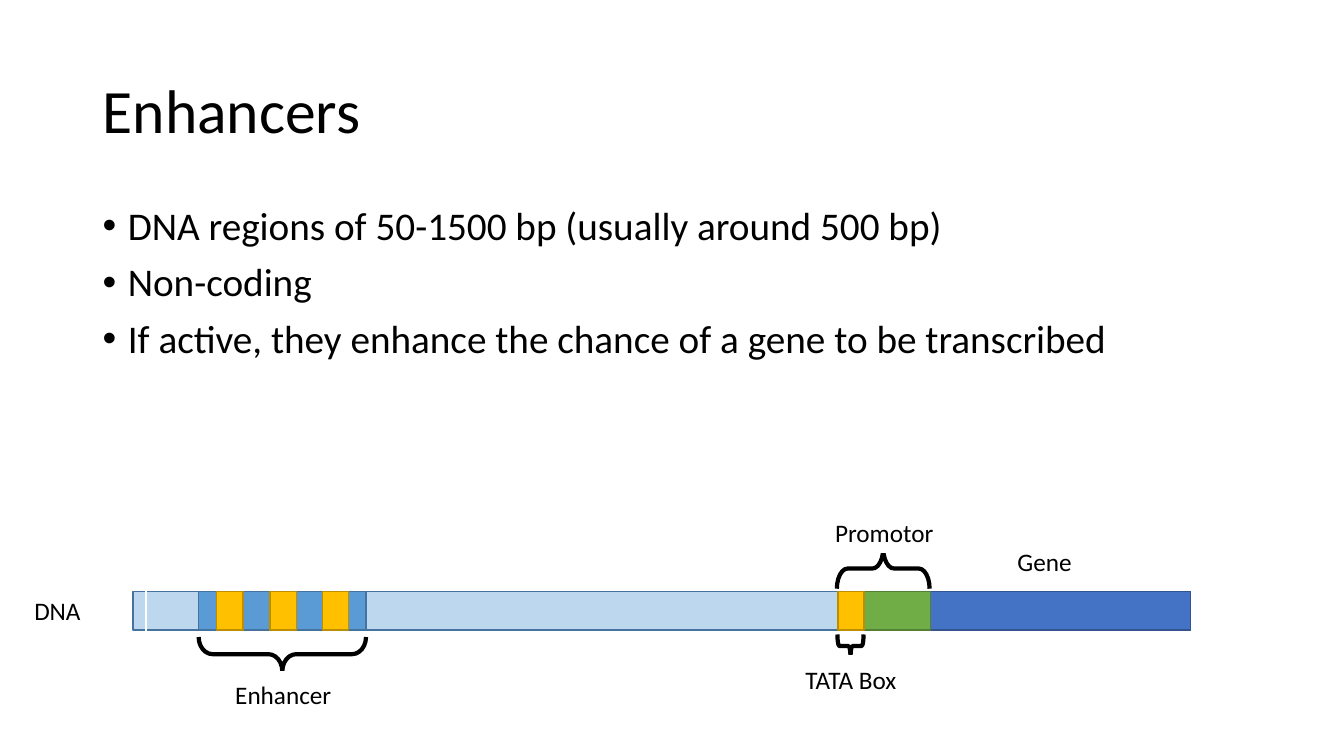
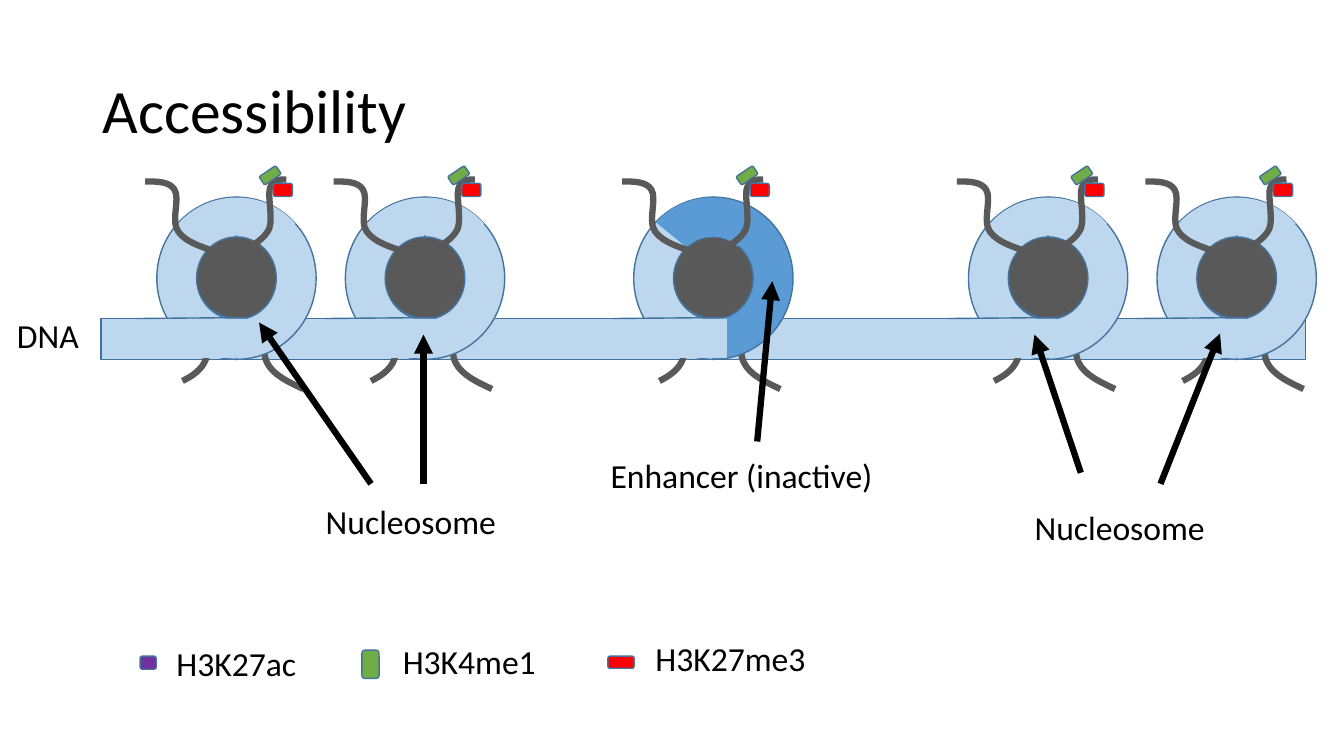
"""Build two slides on enhancers and chromatin accessibility."""
from lxml import etree
from pptx import Presentation
from pptx import util as u
from pptx.dml.color import RGBColor
from pptx.enum import shapes, text
from pptx.oxml.ns import qn

FONT = "Calibri"
BLACK = RGBColor(0x00, 0x00, 0x00)
WHITE = RGBColor(0xFF, 0xFF, 0xFF)
PALE = RGBColor(0xBD, 0xD7, 0xEE)
BLUE = RGBColor(0x5B, 0x9B, 0xD5)
EDGE = RGBColor(0x43, 0x73, 0x9E)
STRAND = RGBColor(0x41, 0x71, 0x9C)
GENE = RGBColor(0x44, 0x72, 0xC4)
GENE_EDGE = RGBColor(0x32, 0x54, 0x91)
GREEN = RGBColor(0x70, 0xAD, 0x47)
GREEN_EDGE = RGBColor(0x53, 0x80, 0x35)
GOLD = RGBColor(0xFF, 0xC0, 0x00)
GOLD_EDGE = RGBColor(0xBD, 0x8E, 0x00)
GREY = RGBColor(0x59, 0x59, 0x59)
RED = RGBColor(0xFF, 0x00, 0x00)
PURPLE = RGBColor(0x70, 0x30, 0xA0)

KIND = shapes.MSO_SHAPE
RECT, ROUND, ARC = KIND.RECTANGLE, KIND.ROUNDED_RECTANGLE, KIND.BLOCK_ARC


def block(s, kind, at, fill=None, line=None, width=1, rot=0, adj=(), label="", size=18):
    sp = s.shapes.add_shape(kind, *[u.Inches(v) for v in at])
    sp.shadow.inherit = False
    sp.rotation = rot
    for i, value in enumerate(adj):
        sp.adjustments[i] = value
    if fill is None:
        sp.fill.background()
    else:
        sp.fill.solid()
        sp.fill.fore_color.rgb = fill
    if line is None:
        sp.line.fill.background()
    else:
        sp.line.color.rgb = line
        sp.line.width = u.Pt(width)
    if label:
        tf = sp.text_frame
        tf.text = label
        tf.vertical_anchor = text.MSO_ANCHOR.MIDDLE
        p = tf.paragraphs[0]
        p.alignment = text.PP_ALIGN.CENTER
        p.font.name, p.font.size, p.font.color.rgb = FONT, u.Pt(size), BLACK


def curve(s, points, dx):
    points = [(u.Inches(x + dx), u.Inches(y)) for x, y in points]
    fb = s.shapes.build_freeform(*points[0])
    fb.add_line_segments(points[1:], close=False)
    sp = fb.convert_to_shape()
    sp.shadow.inherit = False
    sp.fill.background()
    sp.line.color.rgb = GREY
    sp.line.width = u.Pt(4.5)
    segments = list(sp._element.iter(qn("a:lnTo")))
    for i in range(0, len(segments), 3):
        bezier = etree.Element(qn("a:cubicBezTo"))
        segments[i].addprevious(bezier)
        for segment in segments[i:i + 3]:
            bezier.append(segment[0])
            segment.getparent().remove(segment)


prs = Presentation()
prs.slide_width, prs.slide_height = u.Inches(13.33), u.Inches(7.5)

slides = []
for title in ("Enhancers", "Accessibility"):
    s = prs.slides.add_slide(prs.slide_layouts[6])
    sp = s.shapes.add_textbox(u.Inches(0.92), u.Inches(0.4), u.Inches(11.5), u.Inches(1.45))
    tf = sp.text_frame
    tf.word_wrap = True
    tf.vertical_anchor = text.MSO_ANCHOR.MIDDLE
    tf.text = title
    p = tf.paragraphs[0]
    p.line_spacing = 0.9
    p.font.name, p.font.size, p.font.color.rgb = FONT, u.Pt(44), BLACK
    slides.append(s)
enhancers, access = slides

sp = enhancers.shapes.add_textbox(u.Inches(0.92), u.Inches(2), u.Inches(11.5), u.Inches(4.76))
tf = sp.text_frame
tf.word_wrap = True
tf.text = "\n".join((
    "DNA regions of 50-1500 bp (usually around 500 bp)",
    "Non-coding",
    "If active, they enhance the chance of a gene to be transcribed",
))
for p in tf.paragraphs:
    p.line_spacing = 0.9
    p.space_before = u.Pt(10)
    p.font.name, p.font.size, p.font.color.rgb = FONT, u.Pt(28), BLACK
    pPr = p._p.get_or_add_pPr()
    pPr.set("marL", str(u.Inches(0.25)))
    pPr.set("indent", str(-u.Inches(0.25)))
    bullet_font = etree.Element(qn("a:buFont"), typeface="Arial")
    bullet = etree.Element(qn("a:buChar"), char="•")
    pPr.find(qn("a:spcBef")).addnext(bullet_font)
    bullet_font.addnext(bullet)

for x, w, fill, line in (
    (1.32, 10.49, PALE, EDGE),
    (1.97, 1.66, BLUE, EDGE),
    (2.15, 0.26, GOLD, GOLD_EDGE),
    (2.68, 0.26, GOLD, GOLD_EDGE),
    (3.2, 0.26, GOLD, GOLD_EDGE),
    (8.31, 3.5, GENE, GENE_EDGE),
    (8.31, 0.92, GREEN, GREEN_EDGE),
    (8.31, 0.26, GOLD, GOLD_EDGE),
):
    block(enhancers, RECT, (x, 5.87, w, 0.38), fill, line)

for at, rot, bend in (
    ((2.63, 5.66, 0.34, 1.66), 90, 0.405),
    ((8.32, 6.28, 0.23, 0.26), 90, 0.086),
    ((8.56, 5.18, 0.4, 0.92), 270, 0.269),
):
    block(enhancers, KIND.RIGHT_BRACE, at, None, BLACK, 3, rot, (bend, 0.5))

for label, x, y, h, fill in (
    ("Enhancer", 1.93, 6.66, 0.46, WHITE),
    ("TATA Box", 7.56, 6.5, 0.48, WHITE),
    ("Promotor", 7.89, 5.08, 0.4, WHITE),
    ("Gene", 9.48, 5.33, 0.48, WHITE),
    ("DNA", -0.31, 5.82, 0.48, None),
):
    block(enhancers, RECT, (x, y, 1.76, h), fill, WHITE, label=label)

block(access, RECT, (1, 3.16, 11.95, 0.41), PALE, STRAND)
block(access, RECT, (-0.21, 3.08, 1.37, 0.48), label="DNA", size=24)
for label, x, y in (
    ("Nucleosome", 2.46, 4.83),
    ("Nucleosome", 9.49, 4.89),
    ("Enhancer (inactive)", 5.74, 4.37),
):
    block(access, RECT, (x, y, 3.23, 0.68), WHITE, WHITE, label=label, size=24)

lower_left = ((1.81, 3.78), (1.91, 3.73), (2, 3.67), (2.04, 3.57),
              (2.08, 3.47), (2.03, 3.25), (2.06, 3.17),
              (2.09, 3.09), (2.15, 3.08), (2.21, 3.08))
lower_right = ((3.01, 3.86), (2.86, 3.79), (2.71, 3.72), (2.65, 3.6),
               (2.58, 3.47), (2.66, 3.2), (2.62, 3.1),
               (2.57, 3), (2.48, 3), (2.38, 3))
upper_left = ((2.21, 2.52), (2.03, 2.46), (1.85, 2.41), (1.77, 2.3),
              (1.69, 2.2), (1.79, 1.97), (1.73, 1.88),
              (1.68, 1.8), (1.56, 1.8), (1.44, 1.8))
upper_right = ((2.44, 2.47), (2.53, 2.42), (2.62, 2.37), (2.67, 2.27),
               (2.71, 2.16), (2.65, 1.94), (2.68, 1.86),
               (2.71, 1.78), (2.77, 1.78), (2.84, 1.78))

lines = []
for dx, wrap, base, cap_width, cap in (
    (0, PALE, ROUND, 1.5, (130.188, 193.487, 0.266)),
    (1.87, PALE, ROUND, 1.5, (130.188, 193.487, 0.266)),
    (4.73, BLUE, RECT, 1.47, (131.641, 191.829, 0.274)),
    (8.05, PALE, ROUND, 1.5, (130.188, 193.487, 0.266)),
    (9.92, PALE, ROUND, 1.5, (130.188, 193.487, 0.266)),
):
    curve(access, lower_left, dx)
    curve(access, lower_right, dx)
    block(access, KIND.OVAL, (1.93 + dx, 2.31, 0.86, 0.85), GREY, EDGE)
    block(access, ARC, (1.54 + dx, 1.97, 1.61, 1.58), PALE, EDGE, rot=270)
    block(access, ARC, (1.54 + dx, 1.97, 1.61, 1.58), wrap, EDGE, rot=90)
    block(access, ARC, (1.6 + dx, 1.96, cap_width, 1.41), wrap, adj=cap)
    block(access, base, (1.39 + dx, 3.16, 1.09, 0.39), PALE)
    curve(access, upper_left, dx)
    curve(access, upper_right, dx)
    block(access, ROUND, (2.58 + dx, 1.69, 0.2, 0.1), GREEN, EDGE, rot=325.7)
    block(access, ROUND, (2.71 + dx, 1.82, 0.19, 0.13), RED, EDGE)
    lines.append(((2.44 + dx, 3.15, 1.35 + dx, 3.16), STRAND, 1, False))

for ends in (
    (4.2, 4.8, 4.2, 3.32),
    (3.68, 4.8, 2.57, 3.2),
    (11.51, 4.8, 12.1, 3.31),
    (10.72, 4.69, 10.26, 3.32),
    (7.51, 4.38, 7.66, 2.79),
):
    lines.append((ends, BLACK, 4.5, True))

for ends, color, width, arrow in lines:
    cx = access.shapes.add_connector(shapes.MSO_CONNECTOR.STRAIGHT, *[u.Inches(v) for v in ends])
    cx.line.color.rgb = color
    cx.line.width = u.Pt(width)
    if arrow:
        etree.SubElement(cx.line._get_or_add_ln(), qn("a:tailEnd"), type="triangle")
    etree.SubElement(cx._element.spPr, qn("a:effectLst"))

for label, marker, color, x, y in (
    ("H3K27ac", (1.39, 6.51, 0.16, 0.13), PURPLE, 0.73, 6.24),
    ("H3K4me1", (3.59, 6.45, 0.17, 0.28), GREEN, 3.04, 6.22),
    ("H3K27me3", (6.03, 6.51, 0.26, 0.12), RED, 5.63, 6.19),
):
    block(access, ROUND, marker, color, EDGE)
    block(access, RECT, (x, y, 3.23, 0.68), None, WHITE, label=label, size=24)

prs.save("out.pptx")
